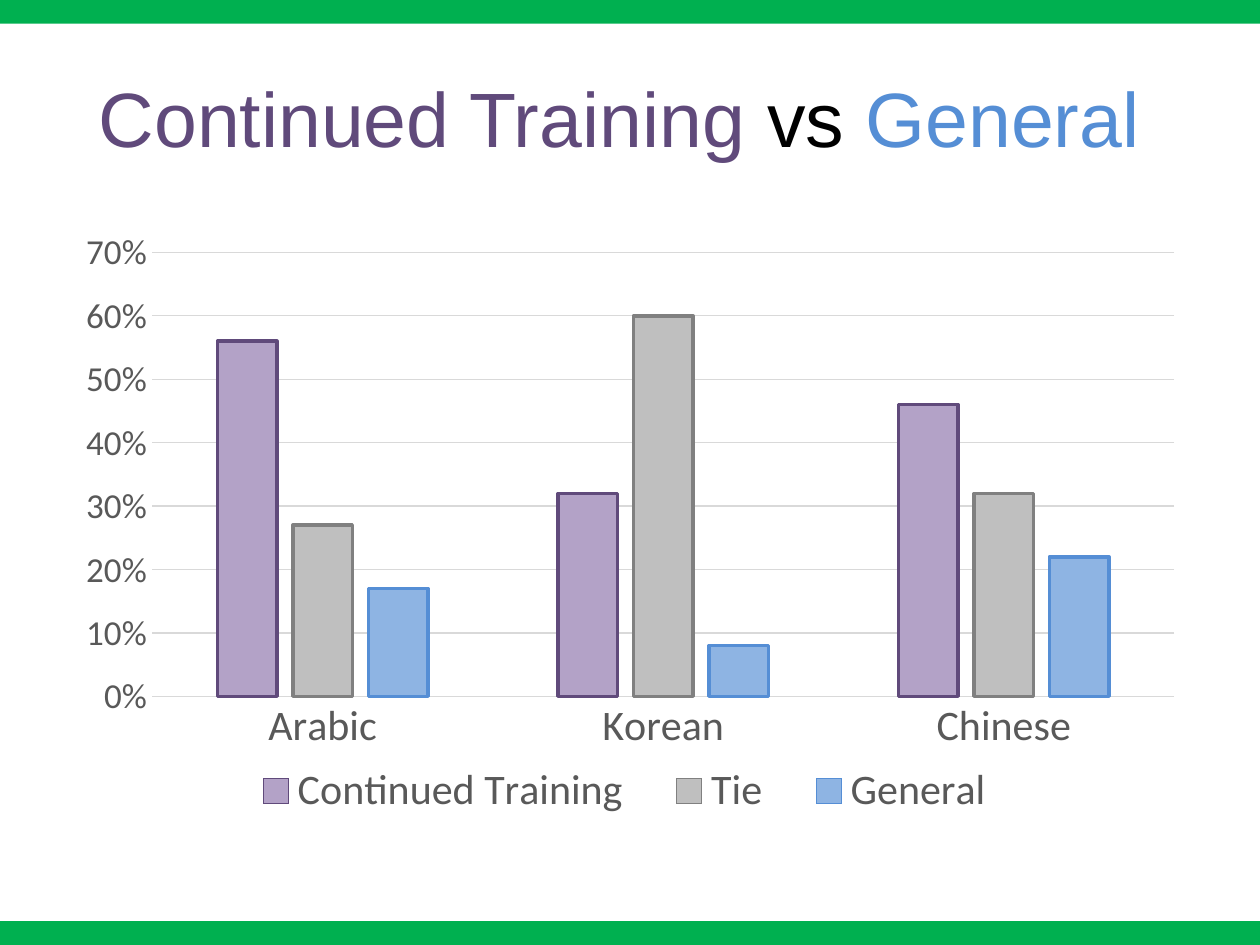
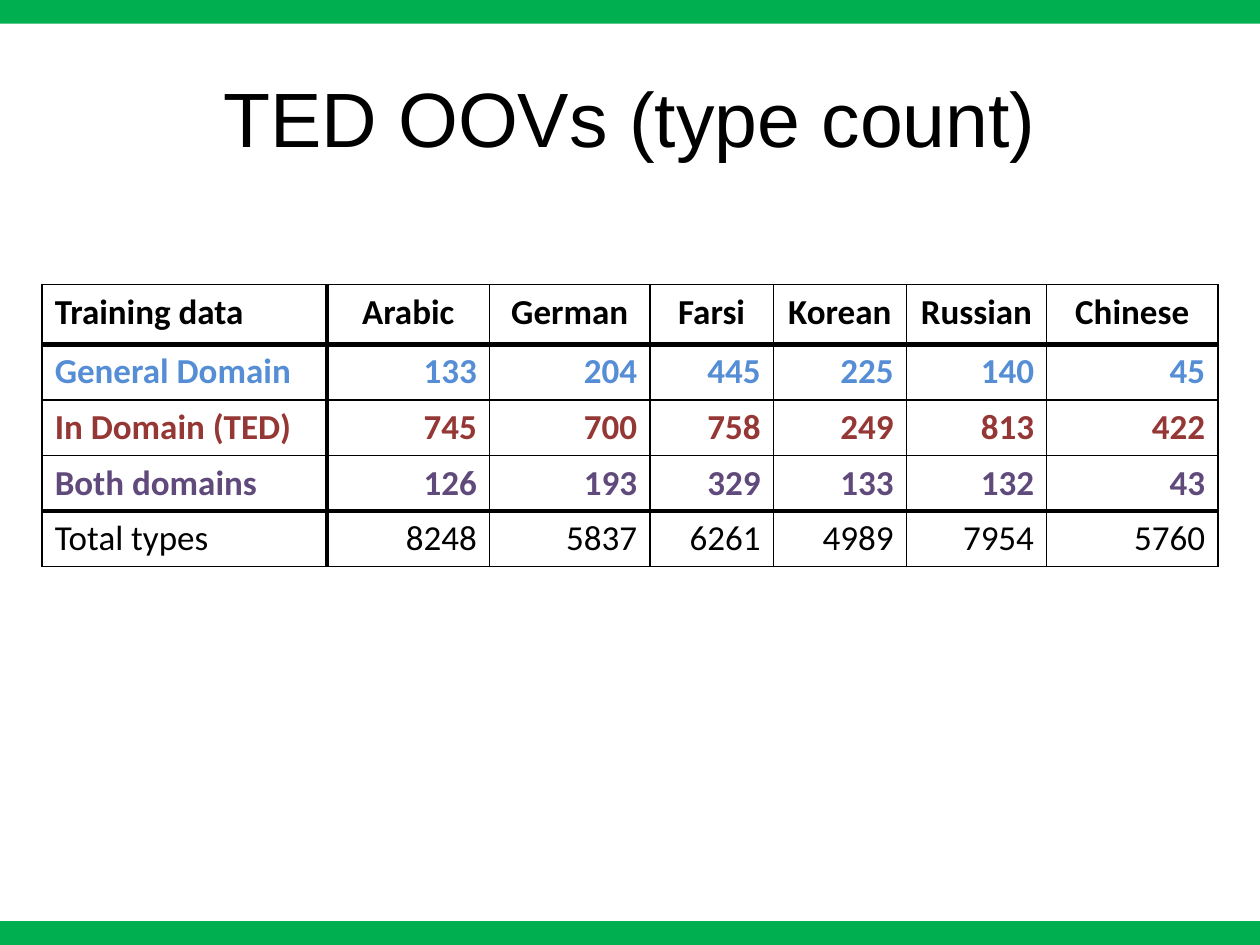
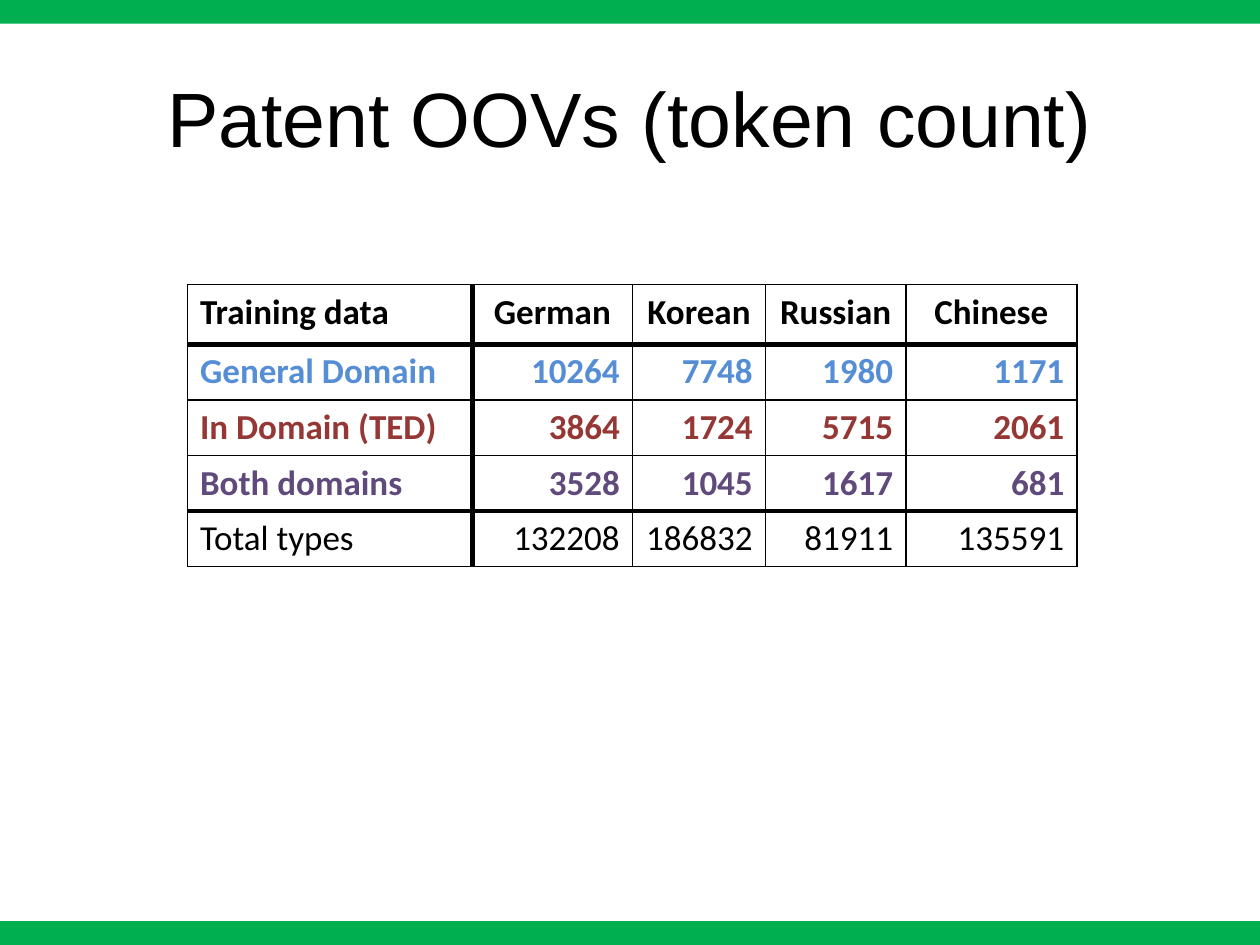
import lxml.etree
import pptx
import pptx.chart.data
import pptx.dml.color
import pptx.enum.chart
import pptx.enum.shapes
import pptx.enum.text
import pptx.oxml.ns
import pptx.util
from pptx.dml.color import RGBColor
from pptx.util import Cm, Pt

BLACK = RGBColor(0x00, 0x00, 0x00)
GREEN = RGBColor(0x00, 0xB0, 0x50)
PURPLE = RGBColor(0x60, 0x4A, 0x7B)
LIGHT_PURPLE = RGBColor(0xB3, 0xA2, 0xC7)
BLUE = RGBColor(0x55, 0x8E, 0xD5)
LIGHT_BLUE = RGBColor(0x8E, 0xB4, 0xE3)
RED = RGBColor(0x95, 0x37, 0x35)
GRAY = RGBColor(0x80, 0x80, 0x80)
LIGHT_GRAY = RGBColor(0xBF, 0xBF, 0xBF)
GRID_GRAY = RGBColor(0xD9, 0xD9, 0xD9)
LABEL_GRAY = RGBColor(0x59, 0x59, 0x59)

SLIDE_WIDTH, SLIDE_HEIGHT = Cm(25.4), Cm(19.05)
BAND_HEIGHT = Cm(0.48)
TITLE_BOX = (Cm(1.27), Cm(0.76), Cm(22.86), Cm(3.18))
WIDE_TITLE_BOX = (0, Cm(0.76), SLIDE_WIDTH, Cm(3.18))
CHART_BOX = (Cm(1.27), Cm(4.42), Cm(22.86), Cm(12.57))
PLOT_BOX = (Cm(1.8), Cm(0.67), Cm(20.6), Cm(8.95))
LEGEND_BOX = (Cm(3.23), Cm(10.93), Cm(16.37), Cm(1.2))
TABLE_TOP = Cm(5.74)

LABEL_WIDTH = Cm(5.74)
LANGUAGE_WIDTHS = {
    "Arabic": Cm(3.28),
    "German": Cm(3.23),
    "Farsi": Cm(2.49),
    "Korean": Cm(2.68),
    "Russian": Cm(2.83),
    "Chinese": Cm(3.45),
}
HEADER_HEIGHT, ROW_HEIGHT = Cm(1.2), Cm(1.12)
THIN, THICK = Pt(1), Pt(3)
ROW_LABELS = [
    ("General Domain", BLUE, True),
    ("In Domain (TED)", RED, True),
    ("Both domains", PURPLE, True),
    ("Total types", BLACK, False),
]
ROW_RULES = [THIN, THICK, THIN, THIN, THICK, THIN]

TITLE_FONT = {"name": "Arial", "size": Pt(44)}
CELL_FONT = {"name": "Calibri", "size": Pt(20)}
VALUE_FONT = {"name": "Calibri", "size": Pt(20)}
CATEGORY_FONT = {"name": "Calibri", "size": Pt(24)}

CATEGORIES = ["Arabic", "Korean", "Chinese"]
SERIES = [
    ("Continued Training", [0.56, 0.32, 0.46], LIGHT_PURPLE, PURPLE),
    ("Tie", [0.27, 0.6, 0.32], LIGHT_GRAY, GRAY),
    ("General ", [0.17, 0.08, 0.22], LIGHT_BLUE, BLUE),
]


def set_values(target, values):
    for name, value in values.items():
        setattr(target, name, value)


def set_font(font, values, color):
    set_values(font, values)
    font.color.rgb = color


def set_line(line, color, width):
    line.color.rgb = color
    line.width = width


def add_band(slide, top):
    band = slide.shapes.add_shape(
        pptx.enum.shapes.MSO_SHAPE.RECTANGLE, 0, top, SLIDE_WIDTH, BAND_HEIGHT
    )
    band.shadow.inherit = False
    band.fill.solid()
    band.fill.fore_color.rgb = GREEN
    band.line.fill.background()


def add_title(slide, box, parts):
    text_frame = slide.shapes.add_textbox(*box).text_frame
    set_values(text_frame, {
        "word_wrap": True,
        "vertical_anchor": pptx.enum.text.MSO_ANCHOR.MIDDLE,
    })
    paragraph = text_frame.paragraphs[0]
    paragraph.alignment = pptx.enum.text.PP_ALIGN.CENTER
    for text, color in parts:
        run = paragraph.add_run()
        run.text = text
        set_font(run.font, TITLE_FONT, color)


def add_framed_slide(presentation, title_box, title_parts):
    slide = presentation.slides.add_slide(presentation.slide_layouts[6])
    for top in (0, SLIDE_HEIGHT - BAND_HEIGHT):
        add_band(slide, top)
    add_title(slide, title_box, title_parts)
    return slide


def set_chart_layout(element, position, settings, box, chart_box):
    qn = pptx.oxml.ns.qn
    for old_layout in element.findall(qn("c:layout")):
        element.remove(old_layout)
    layout = lxml.etree.Element(qn("c:layout"))
    manual = lxml.etree.SubElement(layout, qn("c:manualLayout"))
    fractions = {
        name: str(length / chart_box[2 + index % 2])
        for index, (name, length) in enumerate(zip("xywh", box))
    }
    modes = {"xMode": "edge", "yMode": "edge"}
    for name, value in {**settings, **modes, **fractions}.items():
        lxml.etree.SubElement(manual, qn(f"c:{name}"), val=value)
    element.insert(position, layout)


def add_preference_chart(slide, box):
    chart_data = pptx.chart.data.CategoryChartData(number_format="0%")
    chart_data.categories = CATEGORIES
    for name, values, _, _ in SERIES:
        chart_data.add_series(name, values)
    chart = slide.shapes.add_chart(
        pptx.enum.chart.XL_CHART_TYPE.COLUMN_CLUSTERED, *box, chart_data
    ).chart
    set_values(chart, {"has_title": False, "has_legend": True})
    set_font(chart.font, {"name": "Calibri", "size": Pt(10)}, BLACK)
    set_values(chart.legend, {
        "position": pptx.enum.chart.XL_LEGEND_POSITION.BOTTOM,
        "include_in_layout": False,
    })
    set_font(chart.legend.font, CATEGORY_FONT, LABEL_GRAY)

    plot = chart.plots[0]
    set_values(plot, {"gap_width": 219, "overlap": -27, "vary_by_categories": False})
    for series, (_, _, fill_color, line_color) in zip(plot.series, SERIES):
        series.format.fill.solid()
        series.format.fill.fore_color.rgb = fill_color
        set_line(series.format.line, line_color, Pt(2))

    no_tick = pptx.enum.chart.XL_TICK_MARK.NONE
    for axis, font in (
        (chart.category_axis, CATEGORY_FONT),
        (chart.value_axis, VALUE_FONT),
    ):
        set_values(axis, {"major_tick_mark": no_tick, "minor_tick_mark": no_tick})
        set_font(axis.tick_labels.font, font, LABEL_GRAY)
    set_line(chart.category_axis.format.line, GRID_GRAY, Pt(0.75))
    value_axis = chart.value_axis
    set_values(value_axis, {
        "minimum_scale": 0,
        "maximum_scale": 0.7,
        "major_unit": 0.1,
        "has_major_gridlines": True,
    })
    set_values(value_axis.tick_labels, {
        "number_format": "0%",
        "number_format_is_linked": False,
    })
    value_axis.format.line.fill.background()
    set_line(value_axis.major_gridlines.format.line, GRID_GRAY, Pt(0.75))

    plot_area = chart._chartSpace.chart.plotArea
    set_chart_layout(plot_area, 0, {"layoutTarget": "inner"}, PLOT_BOX, box)
    set_chart_layout(chart.legend._element, 1, {}, LEGEND_BOX, box)


def set_borders(cell, widths):
    qn = pptx.oxml.ns.qn
    properties = cell._tc.get_or_add_tcPr()
    for position, (side, width) in enumerate(widths.items()):
        line = lxml.etree.Element(qn(f"a:ln{side}"), w=str(width))
        fill = lxml.etree.SubElement(line, qn("a:solidFill"))
        lxml.etree.SubElement(fill, qn("a:srgbClr"), val=str(BLACK))
        properties.insert(position, line)


def add_count_table(slide, left, top, languages, counts):
    align = pptx.enum.text.PP_ALIGN
    rows = [("Training data", BLACK, True, languages)]
    rows += [(*label, values) for label, values in zip(ROW_LABELS, counts)]
    widths = [LABEL_WIDTH] + [LANGUAGE_WIDTHS[language] for language in languages]
    heights = [HEADER_HEIGHT] + [ROW_HEIGHT] * len(counts)
    column_rules = [THIN, THICK] + [THIN] * len(languages)
    table = slide.shapes.add_table(
        len(rows), len(widths), left, top, sum(widths), sum(heights)
    ).table
    set_values(table, {"first_row": False, "horz_banding": False})
    for column, width in zip(table.columns, widths):
        column.width = width
    for row, height in zip(table.rows, heights):
        row.height = height

    for row_index, (label, color, bold, values) in enumerate(rows):
        value_alignment = align.RIGHT if row_index else align.CENTER
        for column_index, value in enumerate([label, *values]):
            cell = table.cell(row_index, column_index)
            cell.text = str(value)
            cell.fill.background()
            paragraph = cell.text_frame.paragraphs[0]
            paragraph.alignment = value_alignment if column_index else align.LEFT
            set_font(paragraph.runs[0].font, {**CELL_FONT, "bold": bold}, color)
            set_borders(cell, {
                "L": column_rules[column_index],
                "R": column_rules[column_index + 1],
                "T": ROW_RULES[row_index],
                "B": ROW_RULES[row_index + 1],
            })


def add_chart_slide(presentation):
    slide = add_framed_slide(presentation, WIDE_TITLE_BOX, [
        ("Continued Training ", PURPLE),
        ("vs ", BLACK),
        ("General ", BLUE),
    ])
    add_preference_chart(slide, CHART_BOX)


def add_table_slide(presentation, title, left, languages, counts):
    slide = add_framed_slide(presentation, TITLE_BOX, [(title, BLACK)])
    add_count_table(slide, left, TABLE_TOP, languages, counts)


def main():
    presentation = pptx.Presentation()
    set_values(presentation, {
        "slide_width": SLIDE_WIDTH,
        "slide_height": SLIDE_HEIGHT,
    })
    add_chart_slide(presentation)
    add_table_slide(
        presentation, "TED OOVs (type count)", Cm(0.85), list(LANGUAGE_WIDTHS),
        [
            [133, 204, 445, 225, 140, 45],
            [745, 700, 758, 249, 813, 422],
            [126, 193, 329, 133, 132, 43],
            [8248, 5837, 6261, 4989, 7954, 5760],
        ],
    )
    add_table_slide(
        presentation, "Patent OOVs (token count)", Cm(3.78),
        ["German", "Korean", "Russian", "Chinese"],
        [
            [10264, 7748, 1980, 1171],
            [3864, 1724, 5715, 2061],
            [3528, 1045, 1617, 681],
            [132208, 186832, 81911, 135591],
        ],
    )
    presentation.save("out.pptx")


if __name__ == "__main__":
    main()
